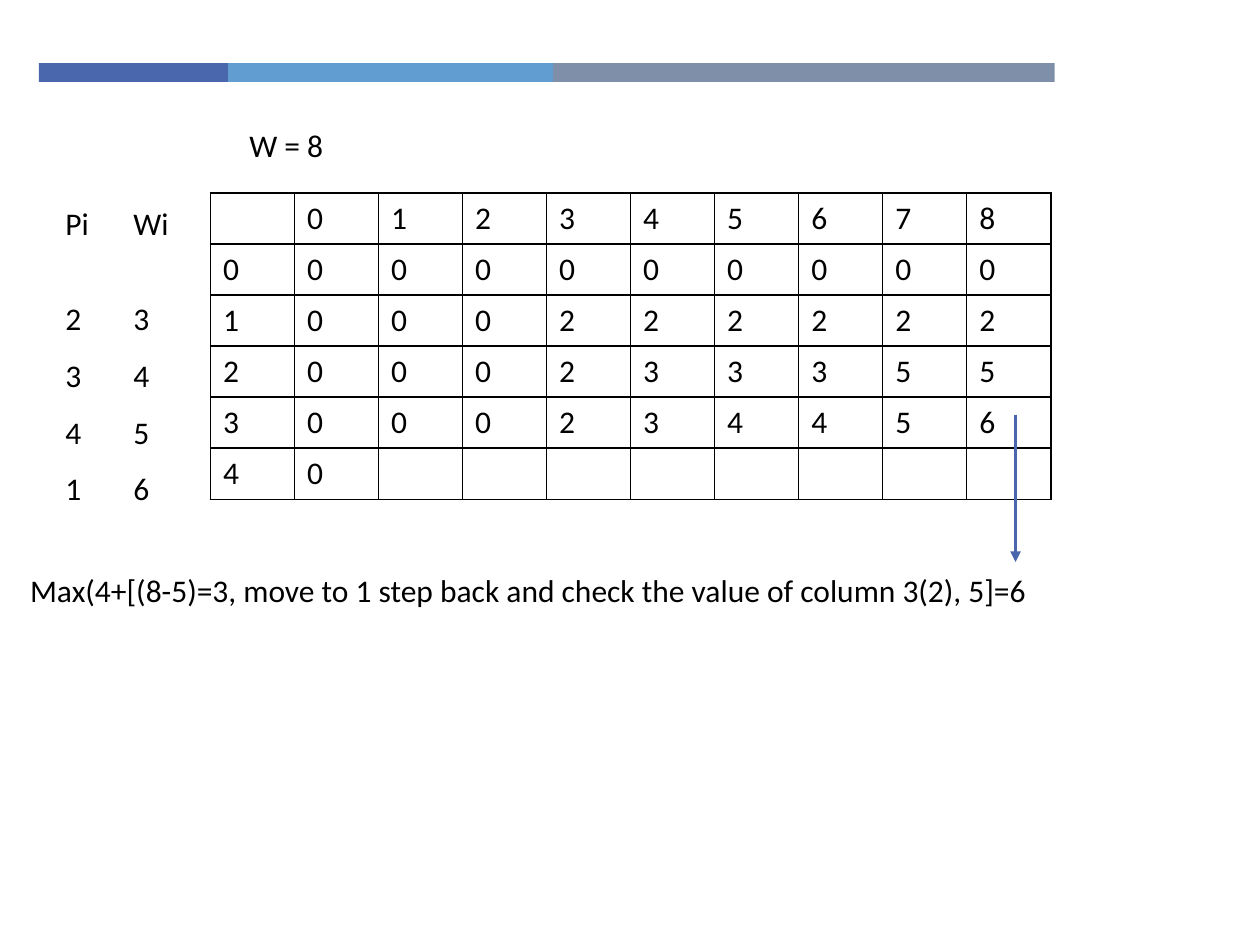
from lxml import etree
from pptx import Presentation
from pptx.dml.color import RGBColor
from pptx.enum.shapes import MSO_CONNECTOR, MSO_SHAPE
from pptx.enum.text import MSO_AUTO_SIZE
from pptx.oxml import parse_xml
from pptx.oxml.ns import nsdecls, qn
from pptx.util import Inches, Pt

RECTANGLE = MSO_SHAPE.RECTANGLE
STRAIGHT = MSO_CONNECTOR.STRAIGHT
FIT_SHAPE = MSO_AUTO_SIZE.SHAPE_TO_FIT_TEXT

BLACK = RGBColor(0x00, 0x00, 0x00)
INDIGO = RGBColor(0x4A, 0x66, 0xAC)
SKY = RGBColor(0x62, 0x9D, 0xD1)
SLATE = RGBColor(0x7F, 0x8F, 0xA9)

FONT = "Calibri"
SIZE = Pt(18)
BAND = [(1.5, INDIGO), (2.58, SKY), (3.98, SLATE)]
PROFITS = ["Pi", "2", "3", "4", "1"]
WEIGHTS = ["Wi", "3", "4", "5", "6"]
KNAPSACK = [
    ["", *"012345678"],
    list("0000000000"),
    list("1000222222"),
    list("2000233355"),
    list("3000234456"),
    ["4", "0"] + [""] * 8,
]


def style(p):
    """Give a paragraph the slide's font."""
    p.font.name = FONT
    p.font.size = SIZE
    p.font.color.rgb = BLACK


def add_band(s, left, top, height):
    """Draw the coloured segments side by side."""
    for width, color in BAND:
        sp = s.shapes.add_shape(RECTANGLE, Inches(left), Inches(top), Inches(width), Inches(height))
        sp.shadow.inherit = False
        sp.fill.solid()
        sp.fill.fore_color.rgb = color
        sp.line.fill.background()
        left += width


def add_text(s, lines, left, top, width, height):
    """Add a text box with one paragraph per line and return its text frame."""
    tf = s.shapes.add_textbox(Inches(left), Inches(top), Inches(width), Inches(height)).text_frame
    tf.word_wrap = True
    tf.auto_size = FIT_SHAPE
    tf.text = "\n".join(lines)
    for p in tf.paragraphs:
        style(p)
    return tf


def add_item_column(s, lines, left, top, width, height):
    """Add a heading with widely spaced item values below it."""
    tf = add_text(s, lines, left, top, width, height)
    values = tf.paragraphs[1:]
    for p in values:
        p.line_spacing = 1.5
    values[0].space_before = Pt(22)


def add_borders(cell):
    """Draw a thin black line on every side of a cell."""
    tc_pr = cell._tc.get_or_add_tcPr()
    for side in ("lnL", "lnR", "lnT", "lnB"):
        tc_pr.append(parse_xml(
            f'<a:{side} {nsdecls("a")} w="{Pt(1)}"><a:solidFill>'
            f'<a:srgbClr val="{BLACK}"/></a:solidFill></a:{side}>'
        ))


def add_knapsack_table(s, left, top, width, height):
    """Add the table of best values by item and capacity."""
    rows, cols = len(KNAPSACK), len(KNAPSACK[0])
    table = s.shapes.add_table(
        rows, cols, Inches(left), Inches(top), Inches(width), Inches(height)
    ).table
    table.first_row = False
    table.horz_banding = False
    for r, values in enumerate(KNAPSACK):
        for c, value in enumerate(values):
            cell = table.cell(r, c)
            cell.text = value
            style(cell.text_frame.paragraphs[0])
            add_borders(cell)
            cell.fill.background()


def add_arrow(s, x, top, bottom):
    """Draw a downward arrow."""
    arrow = s.shapes.add_connector(STRAIGHT, Inches(x), Inches(top), Inches(x), Inches(bottom))
    arrow.line.color.rgb = INDIGO
    arrow.line.width = Pt(2)
    etree.SubElement(arrow.line._get_or_add_ln(), qn("a:tailEnd"), type="triangle")
    etree.SubElement(arrow._element.spPr, qn("a:effectLst"))


def main():
    """Build the slide and save it."""
    prs = Presentation()
    prs.slide_width, prs.slide_height = Inches(10), Inches(7.5)
    s = prs.slides.add_slide(prs.slide_layouts[6])
    add_band(s, 0.31, 0.5, 0.15)
    add_knapsack_table(s, 1.67, 1.53, 6.67, 2.43)
    add_item_column(s, WEIGHTS, 0.96, 1.57, 0.71, 2.48)
    add_item_column(s, PROFITS, 0.42, 1.57, 0.71, 2.48)
    add_text(s, ["W = 8"], 1.88, 0.95, 0.95, 0.4)
    step = "Max(4+[(8-5)=3, move to 1 step back and check the value of column 3(2), 5]=6"
    add_text(s, [step], 0.14, 4.48, 9.42, 0.4)
    add_arrow(s, 8.06, 3.29, 4.46)
    prs.save("out.pptx")


if __name__ == "__main__":
    main()
